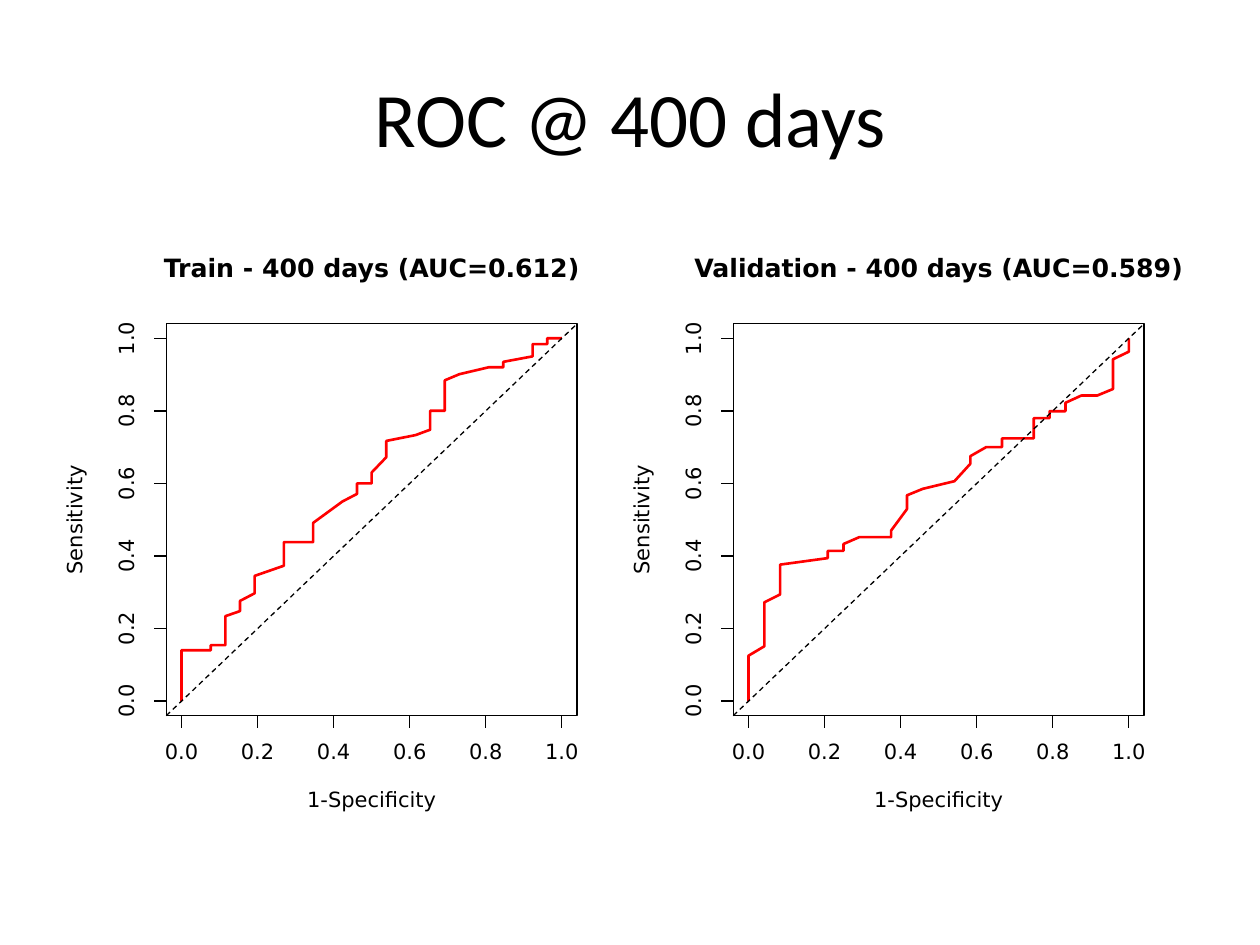
import pptx
import pptx.dml.color
import pptx.enum.dml
import pptx.enum.shapes
import pptx.enum.text
import pptx.oxml.ns
import pptx.util
from lxml import etree

Pt = pptx.util.Pt
BLACK = pptx.dml.color.RGBColor(0x00, 0x00, 0x00)
WHITE = pptx.dml.color.RGBColor(0xFF, 0xFF, 0xFF)
RED = pptx.dml.color.RGBColor(0xFF, 0x00, 0x00)
TITLE_FONT = "Calibri"
PLOT_FONT = "DejaVu Sans"

LINE_HEIGHT = 14.4  # plot margins are multiples of this
MARGIN_LEFT = MARGIN_TOP = 4.1 * LINE_HEIGHT
MARGIN_BOTTOM = 5.1 * LINE_HEIGHT
MARGIN_RIGHT = 2.1 * LINE_HEIGHT
AXIS_PADDING = 0.04
TICK_LENGTH = 7.2
TICKS = [step / 5 for step in range(6)]

# Each curve point: (false positives, sensitivity in percent)
TRAIN_CURVE = [
    (0, 0), (0, 14), (2, 14), (2, 15.4), (3, 15.4), (3, 23.4), (4, 24.8),
    (4, 27.6), (5, 29.7), (5, 34.5), (7, 37.3), (7, 43.8), (9, 43.8), (9, 49.1),
    (11, 55), (12, 57.1), (12, 60), (13, 60), (13, 63), (14, 67.2), (14, 71.7),
    (16, 73.3), (17, 74.8), (17, 80), (18, 80), (18, 88.4), (19, 90.1),
    (21, 92), (22, 92), (22, 93.5), (24, 95), (24, 98.4), (25, 98.4),
    (25, 100), (26, 100),
]
VALIDATION_CURVE = [
    (0, 0), (0, 12.5), (1, 15.1), (1, 27.2), (2, 29.4), (2, 37.6), (5, 39.4),
    (5, 41.4), (6, 41.4), (6, 43.3), (7, 45.2), (9, 45.2), (9, 47), (10, 52.9),
    (10, 56.7), (11, 58.5), (13, 60.6), (14, 65.4), (14, 67.5), (15, 70),
    (16, 70), (16, 72.4), (18, 72.4), (18, 78), (19, 78), (19, 79.9),
    (20, 79.9), (20, 82.2), (21, 84.2), (22, 84.2), (23, 86), (23, 94.2),
    (24, 96.3), (24, 100),
]


def add_text(slide, text, center_x, center_y, width, height, size,
             font=PLOT_FONT, bold=False, rotation=0, exact_spacing=True):
    """Place one line of text centred on a point."""
    box = slide.shapes.add_textbox(Pt(center_x - width / 2), Pt(center_y - height / 2),
                                   Pt(width), Pt(height))
    box.rotation = rotation
    frame = box.text_frame
    frame.word_wrap = False
    frame.margin_left = frame.margin_right = frame.margin_top = frame.margin_bottom = 0
    frame.vertical_anchor = pptx.enum.text.MSO_ANCHOR.MIDDLE
    paragraph = frame.paragraphs[0]
    paragraph.alignment = pptx.enum.text.PP_ALIGN.CENTER
    if exact_spacing:
        paragraph.line_spacing = Pt(size)
    run = paragraph.add_run()
    run.text = text
    run.font.name = font
    run.font.size = Pt(size)
    run.font.bold = bold
    run.font.color.rgb = BLACK


def add_line(slide, start, end, dash=None):
    connector = slide.shapes.add_connector(
        pptx.enum.shapes.MSO_CONNECTOR.STRAIGHT,
        Pt(start[0]), Pt(start[1]), Pt(end[0]), Pt(end[1]))
    connector.line.color.rgb = BLACK
    connector.line.width = Pt(0.75)
    if dash is not None:
        connector.line.dash_style = dash
    etree.SubElement(connector._element.spPr, pptx.oxml.ns.qn("a:effectLst"))


def add_rectangle(slide, left, top, width, height, line_color, fill_color=None):
    shape = slide.shapes.add_shape(pptx.enum.shapes.MSO_SHAPE.RECTANGLE,
                                   Pt(left), Pt(top), Pt(width), Pt(height))
    shape.shadow.inherit = False
    if fill_color is None:
        shape.fill.background()
    else:
        shape.fill.solid()
        shape.fill.fore_color.rgb = fill_color
    shape.line.color.rgb = line_color
    shape.line.width = Pt(0.75)


def add_curve(slide, points):
    vertices = [(Pt(x), Pt(y)) for x, y in points]
    builder = slide.shapes.build_freeform(*vertices[0])
    builder.add_line_segments(vertices[1:], close=False)
    curve = builder.convert_to_shape()
    curve.shadow.inherit = False
    curve.fill.background()
    curve.line.color.rgb = RED
    curve.line.width = Pt(1.5)


def add_roc_panel(slide, left, top, width, height, title, title_width, curve):
    frame_left, frame_top = left + MARGIN_LEFT, top + MARGIN_TOP
    frame_width = width - MARGIN_LEFT - MARGIN_RIGHT
    frame_height = height - MARGIN_TOP - MARGIN_BOTTOM
    frame_right, frame_bottom = frame_left + frame_width, frame_top + frame_height
    middle_x, middle_y = frame_left + frame_width / 2, frame_top + frame_height / 2
    span = 1 + 2 * AXIS_PADDING

    def x_at(value):
        return frame_left + frame_width * (value + AXIS_PADDING) / span

    def y_at(value):
        return frame_bottom - frame_height * (value + AXIS_PADDING) / span

    add_line(slide, (x_at(0), frame_bottom), (x_at(1), frame_bottom))
    add_line(slide, (frame_left, y_at(0)), (frame_left, y_at(1)))
    for tick in TICKS:
        x, y, label = x_at(tick), y_at(tick), f"{tick:.1f}"
        add_line(slide, (x, frame_bottom), (x, frame_bottom + TICK_LENGTH))
        add_text(slide, label, x, frame_bottom + 21.2, 19.4, 9.4, 12)
        add_line(slide, (frame_left, y), (frame_left - TICK_LENGTH, y))
        add_text(slide, label, frame_left - 22, y, 19.4, 9.4, 12, rotation=270)

    add_rectangle(slide, frame_left, frame_top, frame_width, frame_height, BLACK)
    add_text(slide, "1-Specificity", middle_x, frame_bottom + 49, 74, 11.5, 12)
    add_text(slide, "Sensitivity", frame_left - 51.5, middle_y, 62.6, 11.5, 12,
             rotation=270)

    negatives = curve[-1][0]
    add_curve(slide, [(x_at(count / negatives), y_at(percent / 100))
                      for count, percent in curve])
    add_line(slide, (frame_left, frame_bottom), (frame_right, frame_top),
             dash=pptx.enum.dml.MSO_LINE.DASH)
    add_text(slide, title, middle_x, frame_top - 31, title_width, 14.4, 14.4, bold=True)


def main():
    presentation = pptx.Presentation()
    presentation.slide_width, presentation.slide_height = Pt(720), Pt(540)
    slide = presentation.slides.add_slide(presentation.slide_layouts[6])

    add_text(slide, "ROC @ 400 days", 360, 66.6, 648, 90, 44, font=TITLE_FONT,
             exact_spacing=False)
    left, top, width, height = 36, 126, 648, 356.4
    add_rectangle(slide, left, top, width, height, WHITE, WHITE)
    panels = [
        ("Train - 400 days (AUC=0.612)", 239.8, TRAIN_CURVE),
        ("Validation - 400 days (AUC=0.589)", 280.8, VALIDATION_CURVE),
    ]
    panel_width = width / len(panels)
    for index, (title, title_width, curve) in enumerate(panels):
        add_roc_panel(slide, left + index * panel_width, top, panel_width, height,
                      title, title_width, curve)
    presentation.save("out.pptx")


if __name__ == "__main__":
    main()
